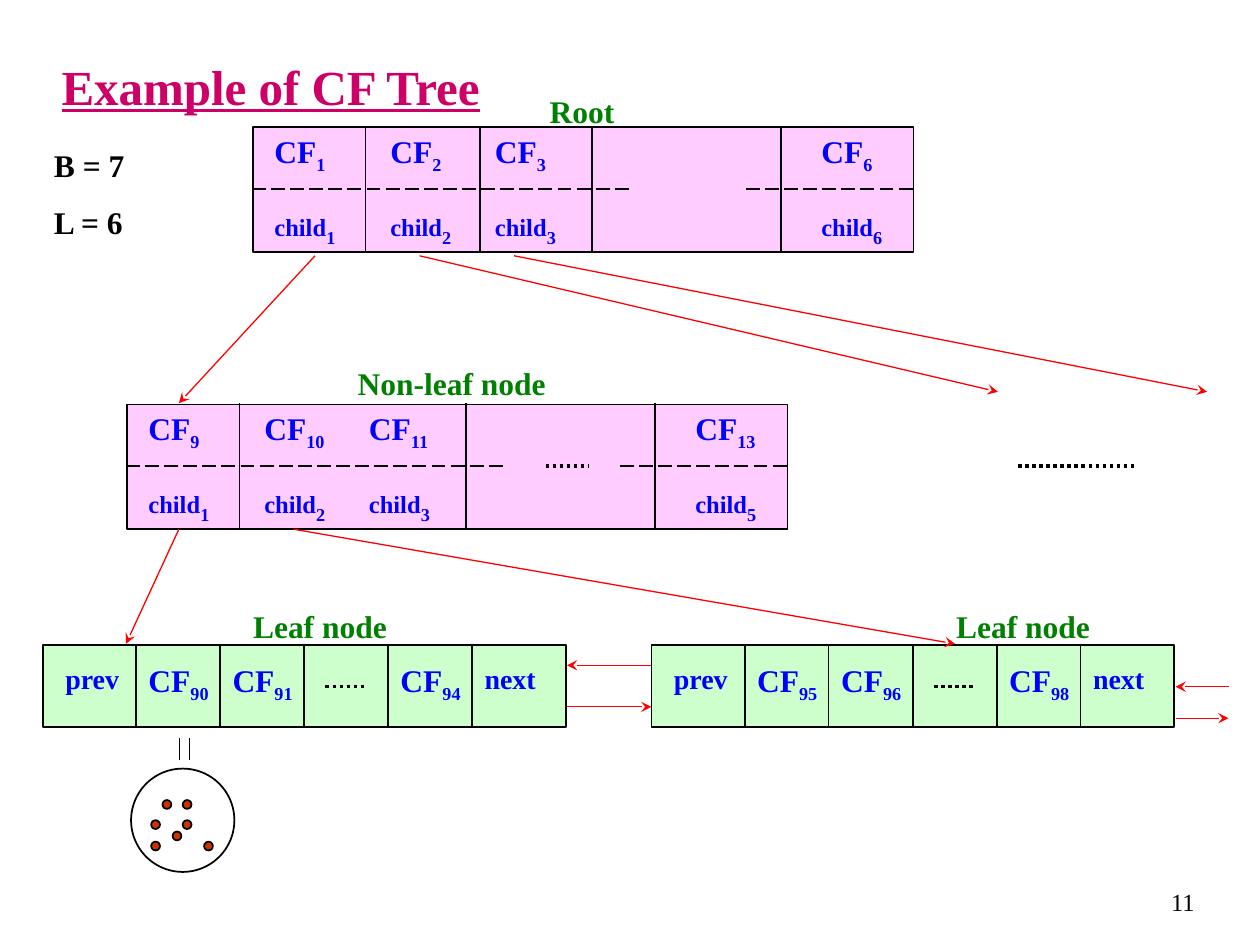
from lxml.etree import SubElement
from pptx import Presentation
from pptx.dml.color import RGBColor
from pptx.enum.dml import MSO_LINE
from pptx.enum.shapes import MSO_CONNECTOR, MSO_SHAPE
from pptx.enum.text import MSO_ANCHOR, PP_ALIGN
from pptx.oxml.ns import qn
from pptx.util import Inches, Pt

BLACK, RED, BLUE, GREEN = "000000", "FF0000", "0000FF", "008000"
PINK, MINT, RUST, ROSE = "FFCCFF", "CCFFCC", "CC3300", "CC0066"
DASH, DOTS = MSO_LINE.LONG_DASH, MSO_LINE.ROUND_DOT

# Tree nodes: left, top, divider offsets, (CF index, child index) per entry
NODES = [
    (2, 1, (0.9, 1.81, 2.7, 4.2), [(1, 1), (2, 2), (3, 3), (6, 6)]),
    (1, 3.2, (0.9, 2.7, 4.2), [(9, 1), (10, 2), (11, 3), (13, 5)]),
]
ENTRIES = (0.08, 1, 1.83, 4.42)
NODE_W, NODE_H = 5.25, 1

# Leaves: left, CF indices
LEAVES = [(0.34, (90, 91, 94)), (5.17, (95, 96, 98))]
LEAF_TOP, LEAF_W, LEAF_H = 5.12, 4.15, 0.65
LEAF_CUTS = [0.74 + i * 2 / 3 for i in range(5)]

# Labels: text, left, top, width
LABELS = [
    ("Root", 4.08, 0.68, 1.08),
    ("Non-leaf node", 2.5, 2.84, 2.17),
    ("Leaf node", 1.75, 4.77, 1.58),
    ("Leaf node", 7.33, 4.77, 1.58),
]
ARROWS = [
    (2.5, 2.03, 1.42, 3.2), (3.33, 2.03, 7.92, 3.11), (4.08, 2.03, 9.58, 3.11),
    (1.42, 4.2, 1, 5.11), (2.33, 4.2, 7.58, 5.11),
    (5.17, 5.28, 4.5, 5.28), (4.5, 5.61, 5.17, 5.61),
    (9.33, 5.7, 9.75, 5.7), (9.75, 5.45, 9.33, 5.45),
]
GAPS = [(4.33, 4.67), (8.08, 9)]
POINTS = [(1.29, 6.35), (1.45, 6.35), (1.2, 6.51), (1.45, 6.51),
          (1.37, 6.6), (1.2, 6.68), (1.62, 6.68)]

deck = Presentation()
deck.slide_width, deck.slide_height = Inches(10), Inches(7.5)
slide = deck.slides.add_slide(deck.slide_layouts[6])
shapes = slide.shapes


def color(code):
    return RGBColor.from_string(code)


def line(x1, y1, x2, y2, hue=BLACK, width=1, dash=None, head=False):
    link = shapes.add_connector(MSO_CONNECTOR.STRAIGHT,
                                *map(Inches, (x1, y1, x2, y2)))
    link.line.color.rgb = color(hue)
    link.line.width = Pt(width)
    if dash:
        link.line.dash_style = dash
    if head:
        SubElement(link.line._get_or_add_ln(), qn("a:tailEnd"), type="stealth")
    SubElement(link._element.spPr, qn("a:effectLst"))


def shape(kind, x, y, w, h, fill=None):
    item = shapes.add_shape(kind, *map(Inches, (x, y, w, h)))
    item.shadow.inherit = False
    if fill:
        item.fill.solid()
        item.fill.fore_color.rgb = color(fill)
    else:
        item.fill.background()
    item.line.color.rgb = color(BLACK)
    item.line.width = Pt(1)


def text(lines, x, y, w, h, hue=BLUE, align=PP_ALIGN.LEFT,
         anchor=MSO_ANCHOR.TOP, sub=None, **style):
    """Place lines of text; sub is an 18 pt subscript after the last line."""
    frame = shapes.add_textbox(*map(Inches, (x, y, w, h))).text_frame
    frame.word_wrap = True
    frame.vertical_anchor = anchor
    look = {"name": "Times New Roman", "size": 18, "bold": True} | style
    for i, words in enumerate(lines):
        para = frame.paragraphs[0] if i == 0 else frame.add_paragraph()
        para.alignment = align
        if i:
            para.space_before = Pt(11.2)
        para.add_run().text = words
    if sub is not None:
        para.add_run().text = str(sub)
        para.runs[-1]._r.get_or_add_rPr().set("baseline", "-25000")
    for para in frame.paragraphs:
        for n, run in enumerate(para.runs):
            for key, value in look.items():
                if key == "size":
                    value = Pt(18 if n else value)
                setattr(run.font, key, value)
            run.font.color.rgb = color(hue)


def node(x, y, cuts, pairs):
    shape(MSO_SHAPE.RECTANGLE, x + 0.01, y + 0.01, NODE_W - 0.01, NODE_H - 0.01, PINK)
    for cut in cuts:
        line(x + cut, y, x + cut, y + NODE_H)
    for start, end in ((0, 3), (3.92, NODE_W)):
        line(x + start, y + 0.5, x + end, y + 0.5, dash=DASH)
    for step, (cf, child) in zip(ENTRIES, pairs):
        text(["CF"], x + step, y, 0.75, 0.44, sub=cf)
        text(["child"], x + step, y + 0.58, 1, 0.44, sub=child, size=14)


def leaf(x, marks):
    shape(MSO_SHAPE.RECTANGLE, x, LEAF_TOP, LEAF_W, LEAF_H, MINT)
    cuts = [x + cut for cut in LEAF_CUTS]
    for cut in cuts:
        line(cut, LEAF_TOP, cut, LEAF_TOP + LEAF_H)
    for cell, mark in zip((0, 1, 3), marks):
        text(["CF"], cuts[cell], 5.2, 0.75, 0.44, sub=mark)
    line(cuts[2] + 0.17, 5.45, cuts[2] + 0.5, 5.45, width=2, dash=DOTS)
    for words, left in (("prev", x + 0.08), ("next", cuts[4])):
        text([words], left, 5.2, 0.75, 0.37, size=16)


text(["Example of CF Tree"], 0.39, 0.37, 9.23, 0.62, ROSE,
     anchor=MSO_ANCHOR.MIDDLE, size=28, underline=True)
text(["B = 7", "L = 6"], 0.33, 1.11, 1.17, 0.86, BLACK)
for args in NODES:
    node(*args)
for args in LEAVES:
    leaf(*args)
for words, x, y, w in LABELS:
    text([words], x, y, w, 0.4, GREEN, PP_ALIGN.CENTER)
for ends in ARROWS:
    line(*ends, hue=RED, width=0.75, head=True)
for start, end in GAPS:
    line(start, 3.7, end, 3.7, width=2, dash=DOTS)
for x in (1.42, 1.5):
    line(x, 5.86, x, 6.03, width=0.25)
for x, y in POINTS:
    shape(MSO_SHAPE.OVAL, x, y, 0.07, 0.07, RUST)
shape(MSO_SHAPE.OVAL, 1.04, 6.1, 0.82, 0.82)
text(["11"], 7.5, 6.91, 2.08, 0.5, BLACK, PP_ALIGN.RIGHT,
     MSO_ANCHOR.MIDDLE, size=14, bold=False)

deck.save("out.pptx")
